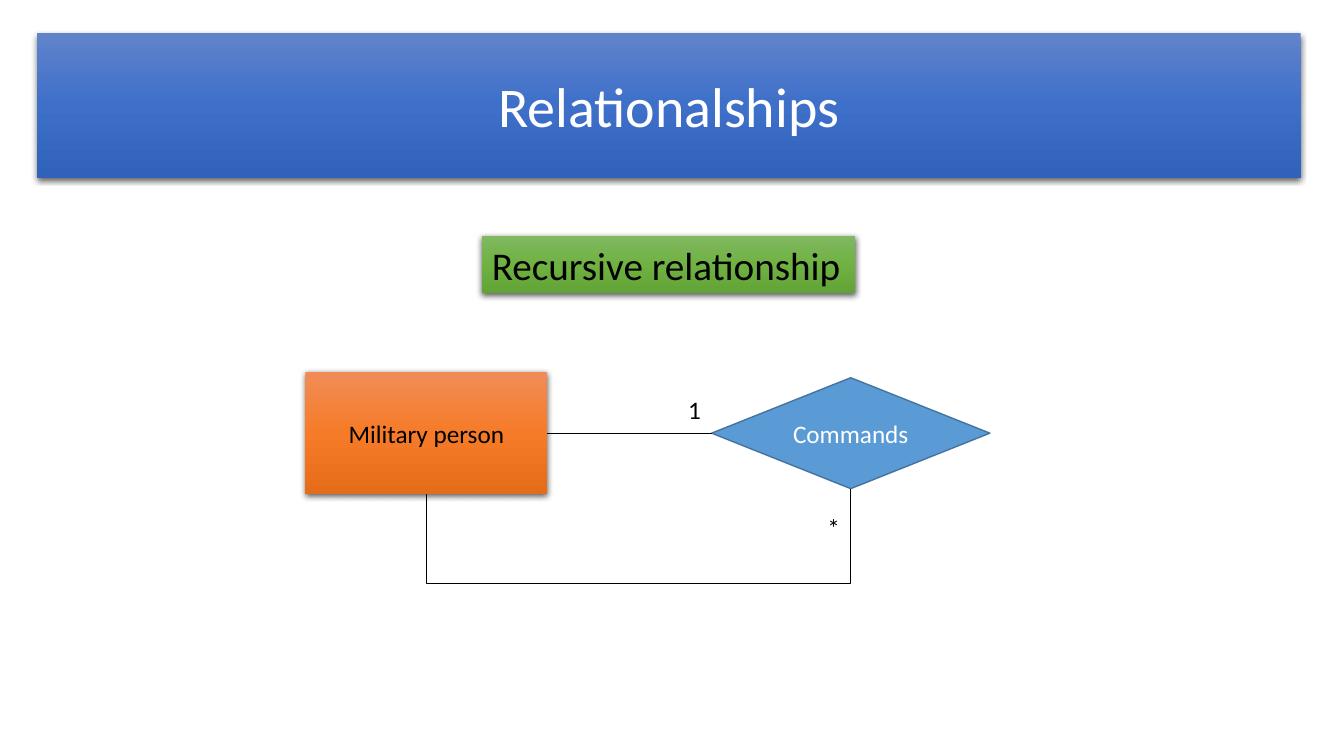
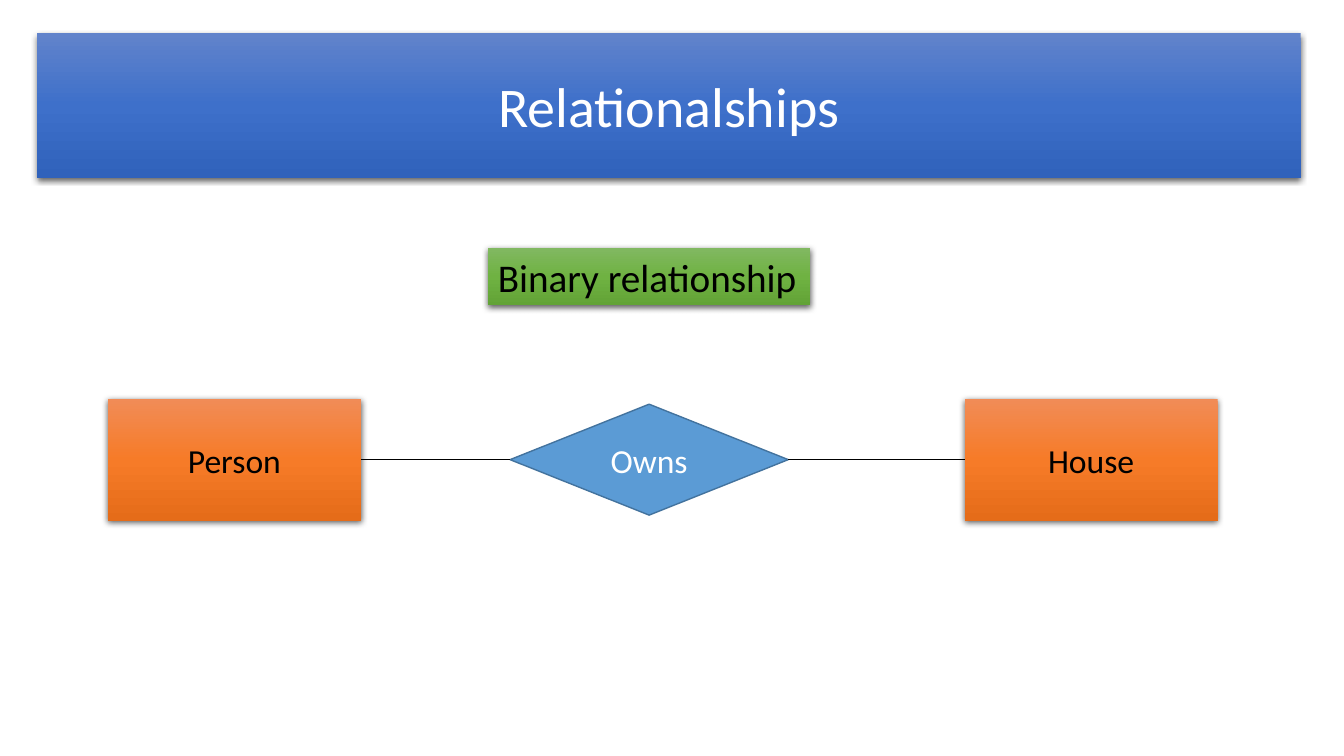
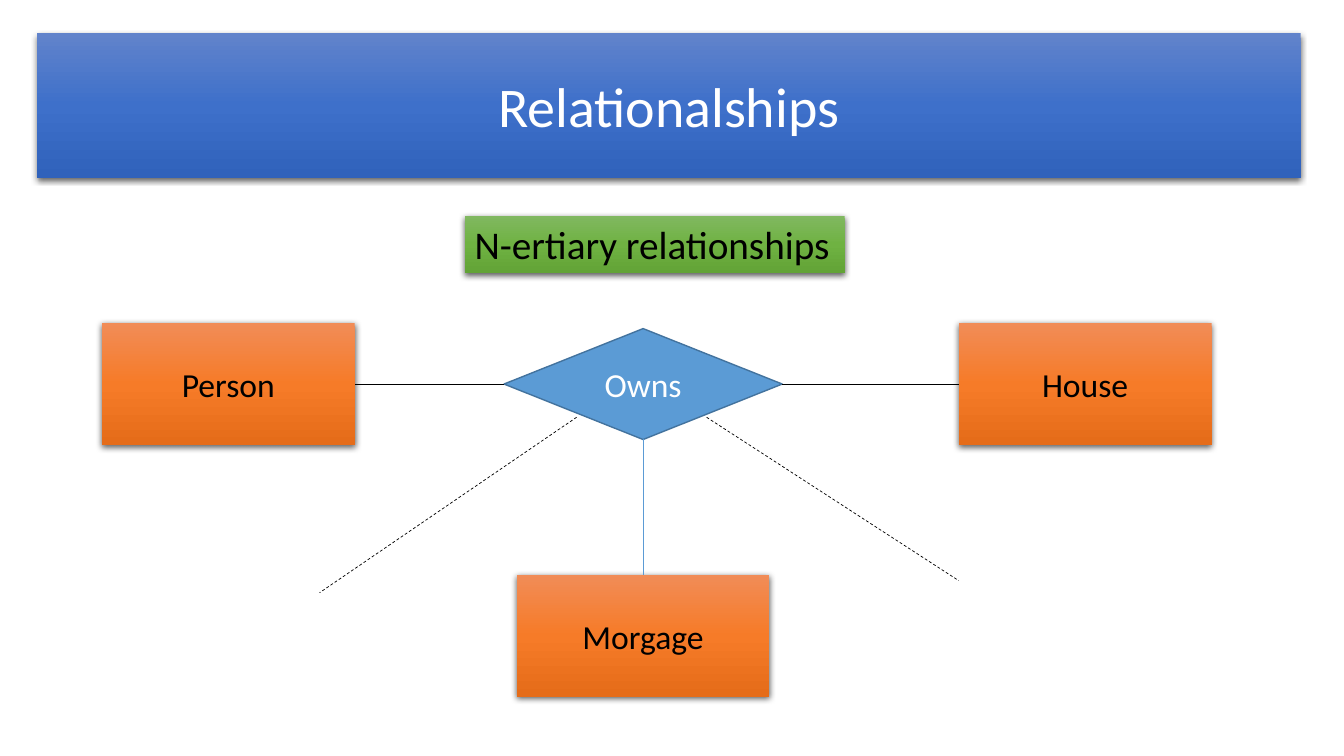
from dataclasses import dataclass

from lxml import etree
from pptx import Presentation
from pptx import util as u
from pptx.dml.color import RGBColor
from pptx.enum import dml, shapes, text
from pptx.oxml.ns import qn


# Shared look: colours, type sizes, and sizes as percent of the slide
@dataclass(frozen=True)
class Theme:
    font: str = "Calibri"
    dark: str = "000000"
    light: str = "FFFFFF"
    blue: tuple = ("6183CB", "3E70CA", "3062BB")
    green: tuple = ("81B861", "6FB242", "62A336")
    orange: tuple = ("F18C57", "F67B28", "E56C19")
    diamond: str = "5B9BD5"
    diamond_edge: str = "43739E"
    title_size: int = 40
    tag_size: int = 28
    node_size: int = 24
    small_size: int = 18
    entity: tuple = (18.82, 16.13)
    narrow_entity: tuple = (18, 16.13)
    relation: tuple = (20.7, 14.67)
    label: tuple = (2.48, 5.33)
    tag_height: float = 7.6


THEME = Theme()
WIDTH, HEIGHT = u.Inches(13.33), u.Inches(7.5)
TOP, LEFT, BOTTOM, RIGHT = range(4)  # connection sites


def across(percent):
    return u.Emu(round(WIDTH * percent / 100))


def down(percent):
    return u.Emu(round(HEIGHT * percent / 100))


def frame(center, size):
    """Left, top, width and height of a box around its centre."""
    (x, y), (width, height) = center, size
    return across(x - width / 2), down(y - height / 2), across(width), down(height)


# Text and surface styles
def write(box, words, size, color, align=text.PP_ALIGN.LEFT,
          anchor=text.MSO_ANCHOR.TOP, fit=False):
    body = box.text_frame
    body.word_wrap = not fit
    if fit:
        body.auto_size = text.MSO_AUTO_SIZE.SHAPE_TO_FIT_TEXT
    body.vertical_anchor = anchor
    para = body.paragraphs[0]
    para.alignment = align
    span = para.add_run()
    span.text = words
    span.font.name = THEME.font
    span.font.size = u.Pt(size)
    span.font.color.rgb = RGBColor.from_string(color)


def write_centered(box, words, size, color):
    write(box, words, size, color, text.PP_ALIGN.CENTER, text.MSO_ANCHOR.MIDDLE)


def add_color(parent, color):
    return etree.SubElement(parent, qn("a:srgbClr"), val=color)


def paint_gradient(box, colors):
    box.fill.gradient()
    box.fill.gradient_angle = 270
    stops = box._element.spPr.find(".//" + qn("a:gsLst"))
    for stop in list(stops):
        stops.remove(stop)
    for position, color in zip((0, 50000, 100000), colors):
        add_color(etree.SubElement(stops, qn("a:gs"), pos=str(position)), color)


def drop_shadow(box):
    box.shadow.inherit = False
    effects = box._element.spPr.find(qn("a:effectLst"))
    shadow = etree.SubElement(
        effects, qn("a:outerShdw"), blurRad=str(u.Pt(4.5)), dist=str(u.Pt(1.5)),
        dir="5400000", algn="ctr", rotWithShape="0")
    etree.SubElement(add_color(shadow, THEME.dark), qn("a:alpha"), val="63000")


# Elements of the diagrams
def add_panel(page, center, size, colors):
    box = page.shapes.add_shape(shapes.MSO_SHAPE.RECTANGLE, *frame(center, size))
    paint_gradient(box, colors)
    box.line.fill.background()
    drop_shadow(box)
    return box


def add_tag(page, words, center, width):
    box = add_panel(page, center, (width, THEME.tag_height), THEME.green)
    write(box, words, THEME.tag_size, THEME.dark, fit=True)


def add_entity(page, words, center, size=THEME.entity, points=THEME.node_size):
    box = add_panel(page, center, size, THEME.orange)
    write_centered(box, words, points, THEME.dark)
    return box


def add_relation(page, words, center, points=THEME.node_size):
    box = page.shapes.add_shape(shapes.MSO_SHAPE.DIAMOND,
                                *frame(center, THEME.relation))
    box.shadow.inherit = False
    box.fill.solid()
    box.fill.fore_color.rgb = RGBColor.from_string(THEME.diamond)
    box.line.color.rgb = RGBColor.from_string(THEME.diamond_edge)
    box.line.width = u.Pt(1)
    write_centered(box, words, points, THEME.light)
    return box


def add_label(page, words, right, top):
    width, height = THEME.label
    box = page.shapes.add_textbox(across(right - width), down(top),
                                  across(width), down(height))
    write(box, words, THEME.small_size, THEME.dark, fit=True)


# Lines
def add_line(page, start=(0, 0), end=(0, 0), color=THEME.dark, dashed=False,
             kind=shapes.MSO_CONNECTOR.STRAIGHT):
    line = page.shapes.add_connector(kind, across(start[0]), down(start[1]),
                                     across(end[0]), down(end[1]))
    line.line.color.rgb = RGBColor.from_string(color)
    line.line.width = u.Pt(0.5)
    if dashed:
        line.line.dash_style = dml.MSO_LINE.DASH
    etree.SubElement(line._element.spPr, qn("a:effectLst"))
    return line


def link(page, first, first_site, second, second_site, **style):
    line = add_line(page, **style)
    line.begin_connect(first, first_site)
    line.end_connect(second, second_site)
    return line


def link_below(page, first, second, drop):
    """Join two bottom edges by a loop that hangs `drop` under the first."""
    line = link(page, first, BOTTOM, second, BOTTOM,
                kind=shapes.MSO_CONNECTOR.ELBOW)
    span, step = line.begin_x - line.end_x, line.end_y - line.begin_y
    middle_x = (line.begin_x + line.end_x) // 2
    middle_y = (line.begin_y + line.end_y) // 2
    # A quarter turn makes the first leg run downwards
    line.left, line.top = middle_x - step // 2, middle_y - span // 2
    line.width, line.height = step, span
    turn = line._element.spPr.find(qn("a:xfrm"))
    turn.attrib.pop("flipH", None)
    turn.set("rot", "5400000")
    guides = line._element.spPr.find(".//" + qn("a:avLst"))
    etree.SubElement(guides, qn("a:gd"), name="adj1",
                     fmla=f"val {round(drop / step * 100000)}")


# Slides
def add_page(deck, tag, tag_center, tag_width):
    page = deck.slides.add_slide(deck.slide_layouts[6])
    band = add_panel(page, (49.75, 13.95), (94.05, 19.07), THEME.blue)
    write_centered(band, "Relationalships", THEME.title_size, THEME.light)
    add_tag(page, tag, tag_center, tag_width)
    return page


def add_ownership(page, middle, row):
    """Person - Owns - House on one row, around the diamond's centre."""
    person = add_entity(page, "Person", (middle - 30.86, row))
    house = add_entity(page, "House", (middle + 32.89, row))
    owns = add_relation(page, "Owns", (middle, row))
    link(page, person, RIGHT, owns, LEFT)
    link(page, owns, RIGHT, house, LEFT)
    return owns


def build_recursive(deck):
    page = add_page(deck, "Recursive relationship", (49.73, 35), 27.75)
    row, middle = 57.3, 63.3
    person = add_entity(page, "Military person", (31.73, row),
                        THEME.narrow_entity, THEME.small_size)
    commands = add_relation(page, "Commands", (middle, row), THEME.small_size)
    link(page, person, RIGHT, commands, LEFT)
    link_below(page, commands, person, down(12.53))
    add_label(page, "1", middle - THEME.relation[0] / 2, 51.47)
    add_label(page, "*", middle, 67.07)


def build_binary(deck):
    middle = 48.3
    page = add_page(deck, "Binary relationship", (middle, 36.6), 24)
    add_ownership(page, middle, 60.8)


def build_n_ary(deck):
    page = add_page(deck, "N-ertiary relationships", (48.71, 32.33), 28.28)
    middle = 47.85
    owns = add_ownership(page, middle, 50.8)
    mortgage = add_entity(page, "Morgage", (middle, 84.07))
    link(page, owns, BOTTOM, mortgage, TOP, color=THEME.diamond)
    for start, end in (((52.58, 55.2), (71.33, 76.8)),
                       ((42.9, 55.2), (23.78, 78.4))):
        add_line(page, start, end, dashed=True)


def main():
    deck = Presentation()
    deck.slide_width, deck.slide_height = WIDTH, HEIGHT
    build_recursive(deck)
    build_binary(deck)
    build_n_ary(deck)
    deck.save("out.pptx")


if __name__ == "__main__":
    main()
